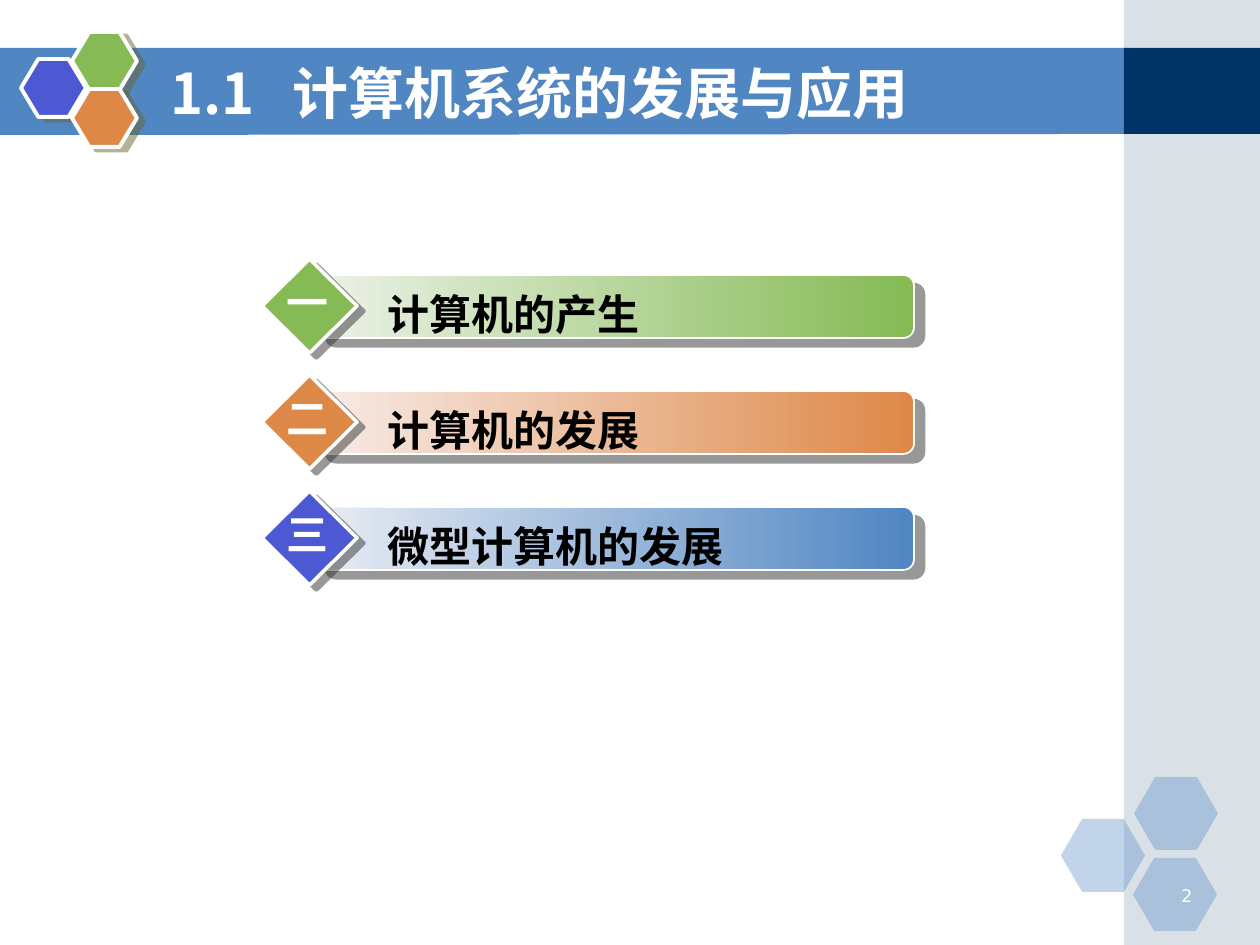
"""Build the section overview slide for computer system development."""
from lxml.etree import SubElement
from pptx import Presentation
from pptx.dml.color import RGBColor
from pptx.enum.shapes import MSO_SHAPE
from pptx.enum.text import MSO_ANCHOR, PP_ALIGN
from pptx.oxml.ns import qn
from pptx.util import Emu, Pt

WHITE = RGBColor(0xFF, 0xFF, 0xFF)
BLACK = RGBColor(0, 0, 0)
BLUE = RGBColor(0x50, 0x86, 0xC2)
NAVY = RGBColor(0, 0x33, 0x66)
GREY = RGBColor(0xA0, 0xB5, 0xC4)
INDIGO = RGBColor(0x4C, 0x59, 0xD2)
GREEN = RGBColor(0x85, 0xBA, 0x54)
ORANGE = RGBColor(0xDE, 0x88, 0x48)
PALE_GREEN = RGBColor(0xEC, 0xF2, 0xE8)
PALE_ORANGE = RGBColor(0xF8, 0xEC, 0xE7)
PALE_BLUE = RGBColor(0xE8, 0xEC, 0xF4)
OLIVE = RGBColor(0x66, 0x66, 0x33)
DARK = RGBColor(0x33, 0x33, 0x33)

CJK = "Noto Sans CJK SC"
TITLE = "1.1\t计算机系统的发展与应用"
TITLE_TAB = 122
PAGE = "2"
TOPICS = [
    ("一", "计算机的产生", GREEN, PALE_GREEN, GREEN),
    ("二", "计算机的发展", ORANGE, PALE_ORANGE, ORANGE),
    ("三", "微型计算机的发展", INDIGO, PALE_BLUE, BLUE),
]
TOPIC_TOP, TOPIC_STEP = 275, 116
BANNER = [(0, 48), (1128, 48), (1128, 134), (0, 135)]
CORNER_HEXAGONS = [(1061, 819), (1134, 777), (1133, 858)]
LOGO_HEXAGONS = [(21, 59, INDIGO), (72, 32, GREEN), (72, 89, ORANGE)]

TITLE_FONT = {"size": Pt(32), "name": CJK, "bold": True}
TOPIC_FONT = {"size": Pt(24), "name": CJK, "bold": True}
PAGE_FONT = {"size": Pt(10), "name": "DejaVu Sans"}


def px(n):
    return Emu(round(n * 914400 / 126))


def add_alpha(fill, percent):
    clr = fill._xPr.find(qn("a:solidFill"))[0]
    SubElement(clr, qn("a:alpha"), val=str(percent * 1000))


def add_shadow(sp, color, dist, angle):
    effects = sp._element.spPr.find(qn("a:effectLst"))
    shadow = SubElement(effects, qn("a:outerShdw"), dist=str(Pt(dist)),
                        dir=str(angle * 60000), algn="ctr", rotWithShape="0")
    clr = SubElement(shadow, qn("a:srgbClr"), val=str(color))
    SubElement(clr, qn("a:alpha"), val="50000")


def style(sp, fill, line=None, alpha=None, shadow=None):
    sp.shadow.inherit = False
    if isinstance(fill, tuple) and not isinstance(fill, RGBColor):
        sp.fill.gradient()
        sp.fill.gradient_angle = 0
        for stop, color in zip(sp.fill.gradient_stops, fill):
            stop.color.rgb = color
    else:
        sp.fill.solid()
        sp.fill.fore_color.rgb = fill
    if alpha:
        add_alpha(sp.fill, alpha)
    if line:
        sp.line.color.rgb = WHITE
        sp.line.width = Pt(line)
    else:
        sp.line.fill.background()
    if shadow:
        add_shadow(sp, *shadow)


def add_shape(s, kind, box, fill, adj=None, **look):
    sp = s.shapes.add_shape(kind, *map(px, box))
    if adj is not None:
        sp.adjustments[0] = adj
    style(sp, fill, **look)


def add_text(s, box, text, font, color, align=PP_ALIGN.LEFT,
             anchor=MSO_ANCHOR.TOP, wrap=True, indent=0, tab=None):
    tf = s.shapes.add_textbox(*map(px, box)).text_frame
    layout = {"word_wrap": wrap, "vertical_anchor": anchor,
              "margin_left": Emu(91440 + px(indent))}
    for key, value in layout.items():
        setattr(tf, key, value)
    p = tf.paragraphs[0]
    p.alignment = align
    if tab:
        tabs = SubElement(p._p.get_or_add_pPr(), qn("a:tabLst"))
        SubElement(tabs, qn("a:tab"), pos=str(px(tab)), algn="l")
    r = p.add_run()
    r.text = text
    for key, value in font.items():
        setattr(r.font, key, value)
    r.font.color.rgb = color
    SubElement(r._r.get_or_add_rPr(), qn("a:ea"), typeface=font["name"])


def add_frame(s):
    builder = s.shapes.build_freeform(*BANNER[0], scale=914400 / 126)
    builder.add_line_segments(BANNER[1:], close=True)
    style(builder.convert_to_shape(), BLUE)
    add_shape(s, MSO_SHAPE.RECTANGLE, (1124, 0, 136, 945), GREY, alpha=40)
    add_shape(s, MSO_SHAPE.RECTANGLE, (1124, 48, 136, 86), NAVY)
    for x, y in CORNER_HEXAGONS:
        add_shape(s, MSO_SHAPE.HEXAGON, (x, y, 84, 73), BLUE, 0.29, alpha=35)
    for x, y, color in LOGO_HEXAGONS:
        add_shape(s, MSO_SHAPE.HEXAGON, (x, y, 65, 58), color, 0.3,
                  line=2.25, shadow=(OLIVE, 4.5, 27))


def add_topic(s, y, number, text, color, pale, full):
    add_shape(s, MSO_SHAPE.ROUNDED_RECTANGLE, (315, y, 599, 63), (pale, full),
              0.17, line=1, shadow=(DARK, 7.8, 40))
    add_shape(s, MSO_SHAPE.DIAMOND, (262, y - 16, 95, 94), color,
              line=2, shadow=(DARK, 5, 37))
    add_text(s, (346, y + 7, 473, 63), text, TOPIC_FONT, BLACK, indent=29)
    add_text(s, (274, y - 5, 68, 63), number, TOPIC_FONT, WHITE,
             align=PP_ALIGN.CENTER, wrap=False)


def main():
    prs = Presentation()
    prs.slide_width, prs.slide_height = px(1260), px(945)
    s = prs.slides.add_slide(prs.slide_layouts[6])
    add_frame(s)
    add_text(s, (1142, 879, 63, 32), PAGE, PAGE_FONT, WHITE, align=PP_ALIGN.RIGHT)
    add_text(s, (158, 53, 923, 78), TITLE, TITLE_FONT, WHITE,
             anchor=MSO_ANCHOR.MIDDLE, tab=TITLE_TAB)
    for i, topic in enumerate(TOPICS):
        add_topic(s, TOPIC_TOP + i * TOPIC_STEP, *topic)
    prs.save("out.pptx")


if __name__ == "__main__":
    main()
